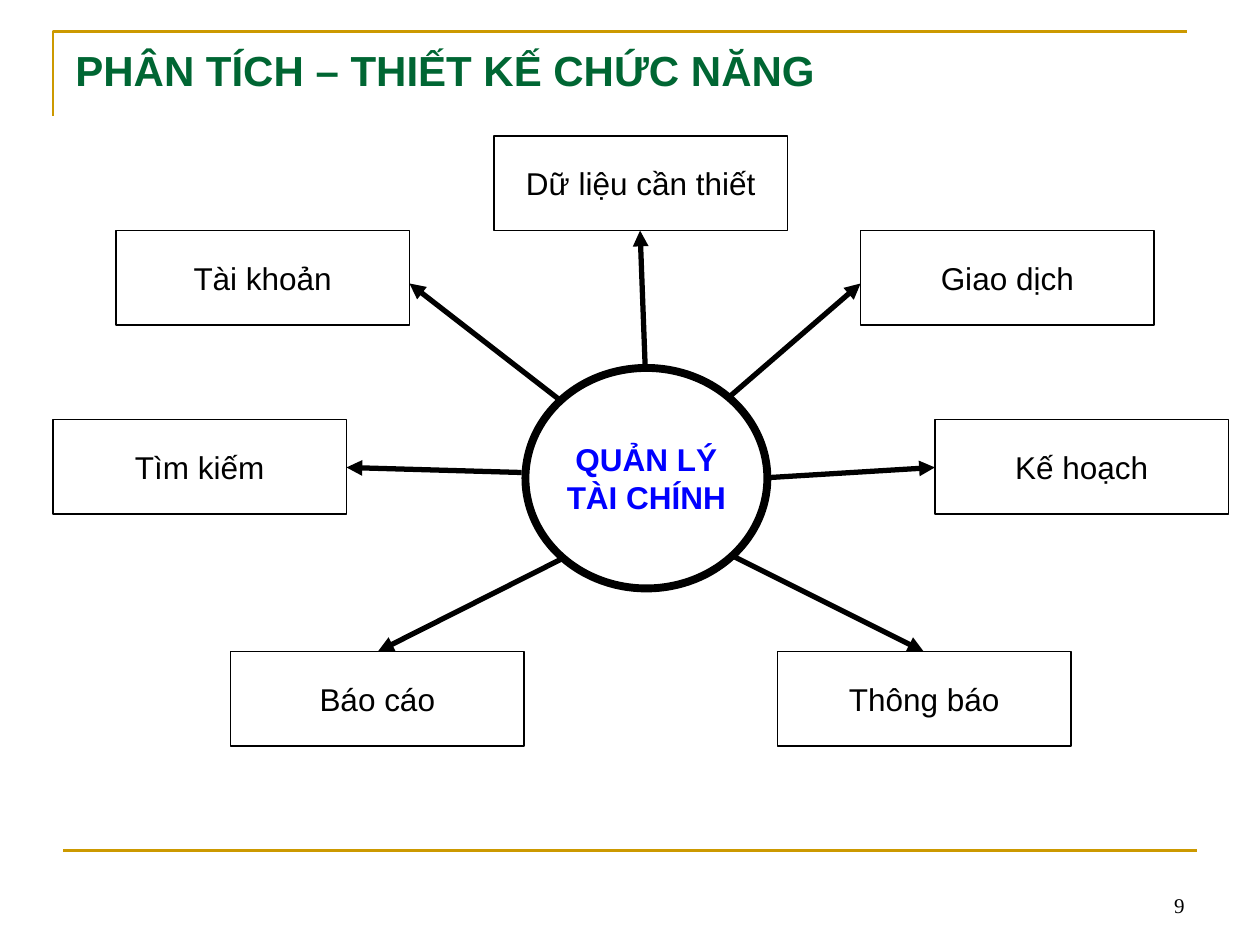
from lxml import etree
from pptx import Presentation
from pptx.dml.color import RGBColor
from pptx.enum.shapes import MSO_CONNECTOR, MSO_SHAPE
from pptx.enum.text import MSO_ANCHOR, PP_ALIGN
from pptx.oxml.ns import qn
from pptx.util import Inches, Pt

PROCESS, HUB = MSO_SHAPE.FLOWCHART_PROCESS, MSO_SHAPE.FLOWCHART_CONNECTOR
STRAIGHT = MSO_CONNECTOR.STRAIGHT
TOP, MIDDLE, BOTTOM = MSO_ANCHOR.TOP, MSO_ANCHOR.MIDDLE, MSO_ANCHOR.BOTTOM
LEFT, CENTER, RIGHT = PP_ALIGN.LEFT, PP_ALIGN.CENTER, PP_ALIGN.RIGHT

COLORS = {"black": "000000", "white": "FFFFFF", "gold": "CC9900",
          "green": "006633", "blue": "0000FF"}
BOX_W, BOX_H = 2.33, 0.75

TITLE_FONT = {"name": "Arial", "size": Pt(24), "bold": True}
BOX_FONT = {"name": "Arial", "size": Pt(18), "bold": False}
HUB_FONT = {"name": "Arial", "size": Pt(18), "bold": True}
NUMBER_FONT = {"name": "Times New Roman", "size": Pt(12), "bold": False}

FUNCTIONS = [
    ("Tài khoản", (0.92, 1.83), (4.45, 3.18), (3.25, 2.25)),
    ("Dữ liệu cần thiết", (3.92, 1.08), (5.12, 2.89), (5.08, 1.83)),
    ("Giao dịch", (6.83, 1.83), (5.8, 3.14), (6.83, 2.25)),
    ("Kế hoạch", (7.42, 3.33), (6.11, 3.79), (7.42, 3.71)),
    ("Báo cáo", (1.83, 5.17), (4.45, 4.44), (3, 5.17)),
    ("Tìm kiếm", (0.42, 3.33), (4.14, 3.75), (2.75, 3.71)),
    ("Thông báo", (6.17, 5.17), (5.83, 4.42), (7.33, 5.17)),
]


def rgb(name):
    """Return the named colour."""
    return RGBColor.from_string(COLORS[name])


def set_line(line, color, width):
    """Give a line its colour and width in points."""
    line.color.rgb = rgb(color)
    line.width = Pt(width)


def write(sp, lines, font, color, align, anchor, wrap):
    """Write the paragraphs of a shape in one format."""
    tf = sp.text_frame
    tf.word_wrap = wrap
    tf.vertical_anchor = anchor
    for i, text in enumerate(lines):
        p = tf.add_paragraph() if i else tf.paragraphs[0]
        p.alignment = align
        r = p.add_run()
        r.text = text
        for key, value in font.items():
            setattr(r.font, key, value)
        r.font.color.rgb = rgb(color)


def add_text(s, box, text, font, color, align, anchor):
    """Add a text box with one line."""
    sp = s.shapes.add_textbox(*map(Inches, box))
    write(sp, [text], font, color, align, anchor, True)


def add_node(s, kind, box, lines, font, color, width):
    """Add a white outlined shape with centred text."""
    sp = s.shapes.add_shape(kind, *map(Inches, box))
    sp.shadow.inherit = False
    sp.fill.solid()
    sp.fill.fore_color.rgb = rgb("white")
    set_line(sp.line, "black", width)
    write(sp, lines, font, color, CENTER, MIDDLE, False)


def add_line(s, start, end, color, width, arrow=False):
    """Add a straight line, with an arrowhead at its end if asked."""
    cx = s.shapes.add_connector(STRAIGHT, *map(Inches, start + end))
    set_line(cx.line, color, width)
    if arrow:
        etree.SubElement(cx.line._get_or_add_ln(), qn("a:tailEnd"), type="triangle")
    etree.SubElement(cx._element.spPr, qn("a:effectLst"))


def add_corner(s):
    """Add the gold corner rule around the title."""
    fb = s.shapes.build_freeform(Inches(0.42), Inches(0.92))
    fb.add_line_segments([(Inches(0.42), Inches(0.25)),
                          (Inches(9.42), Inches(0.25))], close=False)
    sp = fb.convert_to_shape()
    sp.shadow.inherit = False
    sp.fill.background()
    set_line(sp.line, "gold", 1.5)


def main():
    """Build the slide and save it."""
    prs = Presentation()
    prs.slide_width, prs.slide_height = Inches(10), Inches(7.5)
    s = prs.slides.add_slide(prs.slide_layouts[6])
    add_corner(s)
    add_line(s, (0.5, 6.75), (9.5, 6.75), "gold", 1.5)
    add_text(s, (0.5, 0.3, 9, 0.61), "PHÂN TÍCH – THIẾT KẾ CHỨC NĂNG",
             TITLE_FONT, "green", LEFT, TOP)
    add_node(s, HUB, (4.17, 2.92, 1.92, 1.75), ["QUẢN LÝ", "TÀI CHÍNH"],
             HUB_FONT, "blue", 4.5)
    for name, corner, start, end in FUNCTIONS:
        add_node(s, PROCESS, corner + (BOX_W, BOX_H), [name], BOX_FONT, "black", 0.75)
        add_line(s, start, end, "black", 3, arrow=True)
    add_text(s, (7.17, 6.83, 2.33, 0.5), "9", NUMBER_FONT, "black", RIGHT, BOTTOM)
    prs.save("out.pptx")


if __name__ == "__main__":
    main()
